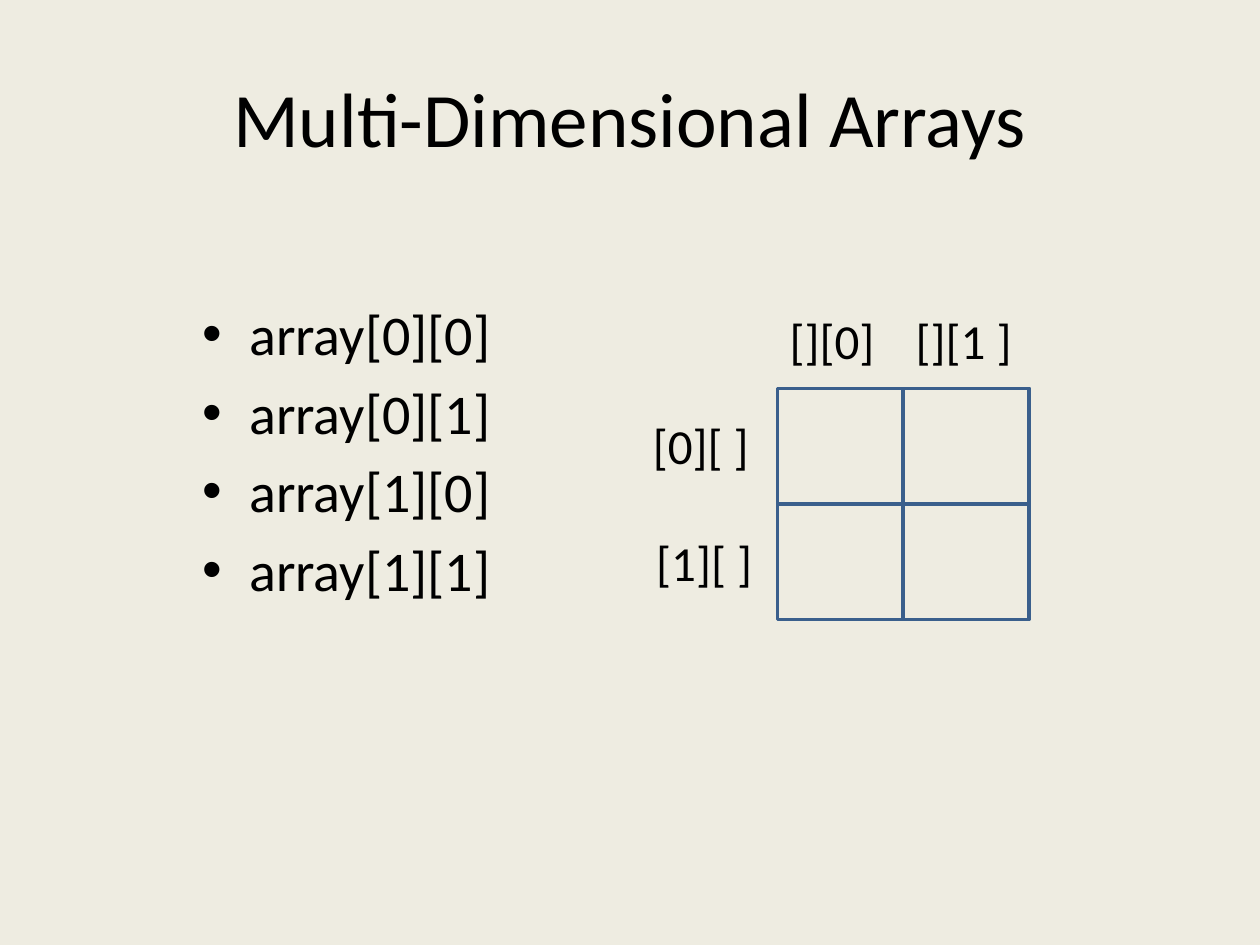
from dataclasses import dataclass
from itertools import product

from lxml.etree import SubElement
from pptx import Presentation
from pptx.dml.color import RGBColor as Rgb
from pptx.enum.shapes import MSO_SHAPE as Preset
from pptx.enum.text import MSO_ANCHOR as Anchor, MSO_AUTO_SIZE as AutoSize, PP_ALIGN as Align
from pptx.oxml.ns import qn
from pptx.util import Cm, Pt


@dataclass(frozen=True)
class Theme:
    font: str = "Calibri"
    background: Rgb = Rgb(0xEE, 0xEC, 0xE1)
    ink: Rgb = Rgb(0, 0, 0)
    grid_line: Rgb = Rgb(0x3A, 0x5F, 0x8C)
    grid_weight: Pt = Pt(2)
    title_size: Pt = Pt(44)
    list_size: Pt = Pt(32)
    label_size: Pt = Pt(28)


THEME = Theme()


def add_frame(slide, left, top, width, height, wrap=True):
    frame = slide.shapes.add_textbox(Cm(left), Cm(top), Cm(width), Cm(height)).text_frame
    frame.word_wrap = wrap
    return frame


def add_run(paragraph, text, size):
    run = paragraph.add_run()
    run.text = text
    run.font.name = THEME.font
    run.font.size = size
    run.font.color.rgb = THEME.ink


def add_title(slide, text):
    title = add_frame(slide, 1.27, 0.76, 22.86, 3.18)
    title.vertical_anchor = Anchor.MIDDLE
    title.paragraphs[0].alignment = Align.CENTER
    add_run(title.paragraphs[0], text, THEME.title_size)


def set_bullet(paragraph, hang=0.95):
    props = paragraph._p.get_or_add_pPr()
    props.set("marL", str(Cm(hang)))
    props.set("indent", str(-Cm(hang)))
    space_before = SubElement(props, qn("a:spcBef"))
    SubElement(space_before, qn("a:spcPct"), val="20000")
    SubElement(props, qn("a:buFont"), typeface="Arial")
    SubElement(props, qn("a:buChar"), char="•")


def add_element_list(slide, elements):
    listing = add_frame(slide, 1.27, 5.92, 11.43, 10.16)
    for index, element in enumerate(elements):
        entry = listing.add_paragraph() if index else listing.paragraphs[0]
        entry.alignment = Align.CENTER
        set_bullet(entry)
        add_run(entry, element, THEME.list_size)


def add_cell(slide, left, top, width, height):
    cell = slide.shapes.add_shape(Preset.RECTANGLE, Cm(left), Cm(top), Cm(width), Cm(height))
    cell.shadow.inherit = False
    cell.fill.background()
    cell.line.color.rgb = THEME.grid_line
    cell.line.width = THEME.grid_weight


def add_label(slide, text, left, top, width):
    label = add_frame(slide, left, top, width, 1.45, wrap=False)
    label.auto_size = AutoSize.SHAPE_TO_FIT_TEXT
    add_run(label.paragraphs[0], text, THEME.label_size)


def main():
    deck = Presentation()
    deck.slide_width, deck.slide_height = Cm(25.4), Cm(19.05)
    slide = deck.slides.add_slide(deck.slide_layouts[6])
    slide.background.fill.solid()
    slide.background.fill.fore_color.rgb = THEME.background

    # Title and list of elements
    indices = list(product(range(2), repeat=2))
    add_title(slide, "Multi-Dimensional Arrays")
    add_element_list(slide, [f"array[{row}][{column}]" for row, column in indices])

    # Two-by-two grid
    grid_left, grid_top = 15.67, 7.83
    cell_width, cell_height = 2.54, 2.33
    for row, column in indices:
        add_cell(slide, grid_left + column * cell_width, grid_top + row * cell_height,
                 cell_width, cell_height)

    # Row and column labels
    add_label(slide, "[0][ ]", 12.91, 8.26, 2.49)
    add_label(slide, "[1][ ]", 12.98, 10.62, 2.49)
    add_label(slide, "[][0]", grid_left, 6.14, 2.26)
    add_label(slide, "[][1 ]", grid_left + cell_width, 6.14, 2.49)

    deck.save("out.pptx")


if __name__ == "__main__":
    main()
